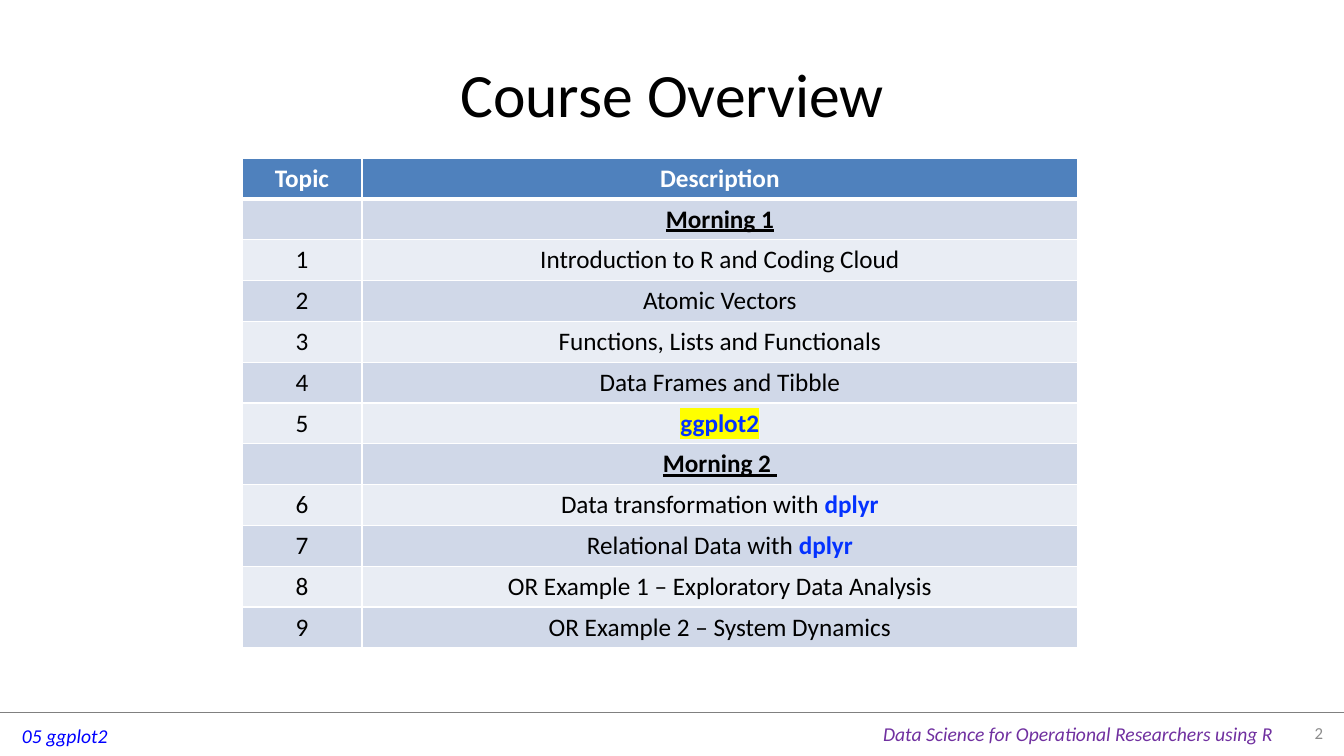
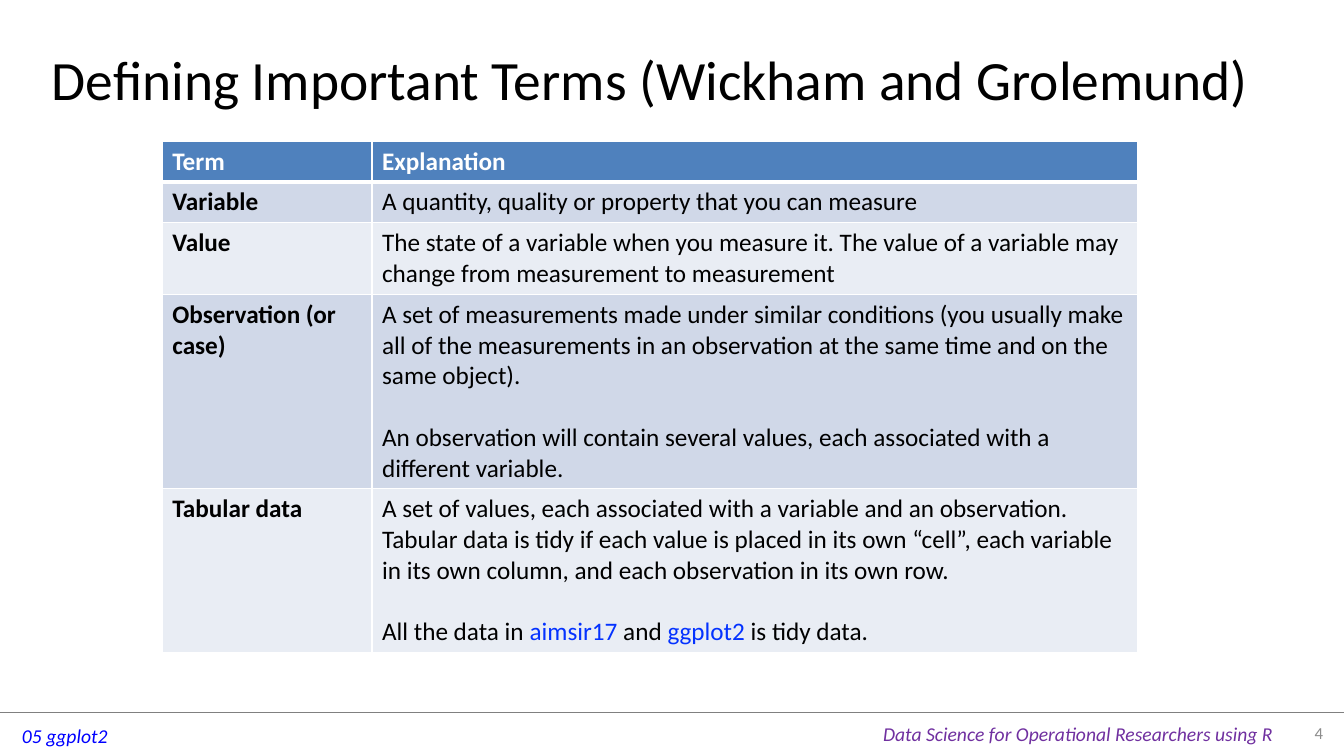
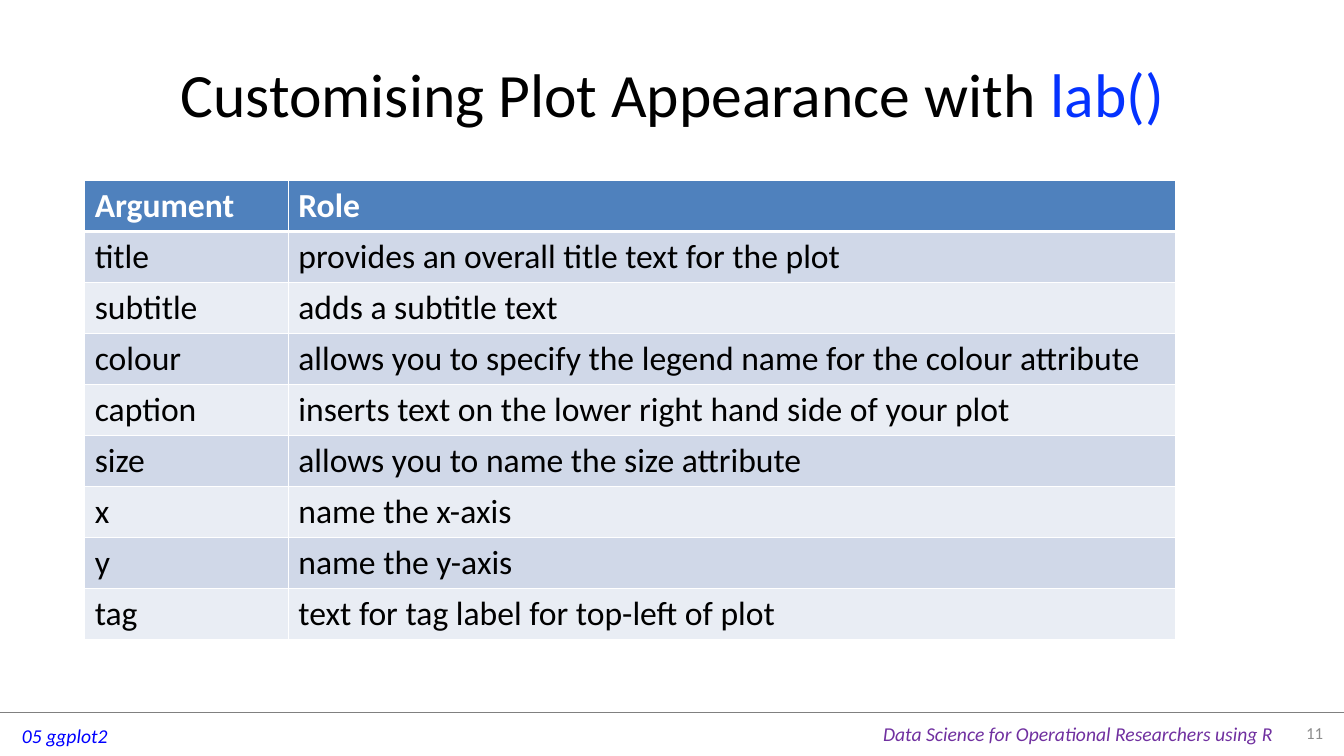
"""Builds three table slides on ggplot2 with a shared title, footer and table style."""
import dataclasses

import pptx
import pptx.dml.color
import pptx.enum.shapes
import pptx.enum.text
import pptx.oxml.ns
import pptx.util
from lxml import etree

ALIGN = pptx.enum.text.PP_ALIGN
Inches = pptx.util.Inches


@dataclasses.dataclass(frozen=True)
class Theme:
    """Colours, type sizes and measures shared by the slides."""
    font: str = "Calibri"
    ink: str = "000000"
    white: str = "FFFFFF"
    header: str = "4F81BD"
    bands: tuple = ("D0D8E8", "E9EDF4")
    code: str = "0432FF"
    marker: str = "FFFF00"
    topic: str = "0000FF"
    course: str = "7030A0"
    page: str = "8C8C8C"
    rule: str = "808080"
    title_size: float = 44
    footer_size: float = 14
    page_size: float = 12
    line_ratio: float = 1.22
    cell_padding: float = 0.1
    width: float = 13.33
    height: float = 7.5
    footer_top: float = 7.07


THEME = Theme()

RUN_STYLES = {
    "session": {"bold": True, "underline": True},
    "code": {"color": THEME.code},
    "package": {"color": THEME.code, "bold": True},
    "current": {"color": THEME.code, "bold": True, "highlight": THEME.marker},
}

TOPIC = "05 ggplot2"
COURSE = "Data Science for Operational Researchers using R"

SLIDES = [
    {
        "page": "2",
        "title": ["Course Overview"],
        "title_at": (0.67, 0.3, 12, 1.25),
        "table_at": (2.4, 1.57),
        "columns": (1.19, 7.1),
        "size": 18,
        "align": ALIGN.CENTER,
        "rows": [
            ("Topic", "Description"),
            ("", [[("Morning 1", "session")]]),
            ("1", "Introduction to R and Coding Cloud"),
            ("2", "Atomic Vectors"),
            ("3", "Functions, Lists and Functionals"),
            ("4", "Data Frames and Tibble"),
            ("5", [[("ggplot2", "current")]]),
            ("", [[("Morning 2 ", "session")]]),
            ("6", [["Data transformation with ", ("dplyr", "package")]]),
            ("7", [["Relational Data with ", ("dplyr", "package")]]),
            ("8", "OR Example 1 – Exploratory Data Analysis"),
            ("9", "OR Example 2 – System Dynamics"),
        ],
    },
    {
        "page": "4",
        "title": ["Defining Important Terms (Wickham and Grolemund)"],
        "title_at": (0.23, 0.15, 12.44, 1.25),
        "title_size": 39.6,
        "table_at": (1.61, 1.4),
        "columns": (2.08, 7.59),
        "size": 18,
        "bold_terms": True,
        "row_lines": (1, 1, 2, 6, 5),
        "rows": [
            ("Term", "Explanation"),
            ("Variable", "A quantity, quality or property that you can measure"),
            ("Value", "The state of a variable when you measure it. The value of a "
                      "variable may change from measurement to measurement"),
            ("Observation (or case)", [
                ["A set of measurements made under similar conditions (you usually "
                 "make all of the measurements in an observation at the same time "
                 "and on the same object)."],
                ["An observation will contain several values, each associated with "
                 "a different variable."],
            ]),
            ("Tabular data", [
                ["A set of values, each associated with a variable and an "
                 "observation. Tabular data is tidy if each value is placed in its "
                 "own “cell”, each variable in its own column, and each "
                 "observation in its own row."],
                ["All the data in ", ("aimsir17", "code"), " and ",
                 ("ggplot2", "code"), " is tidy data."],
            ]),
        ],
    },
    {
        "page": "11",
        "title": ["Customising Plot Appearance with ", ("lab()", "code")],
        "title_at": (0.67, 0.3, 12, 1.25),
        "table_at": (0.84, 1.79),
        "columns": (2.02, 8.8),
        "size": 24,
        "rows": [
            ("Argument", "Role"),
            ("title", "provides an overall title text for the plot"),
            ("subtitle", "adds a subtitle text"),
            ("colour", "allows you to specify the legend name for the colour attribute"),
            ("caption", "inserts text on the lower right hand side of your plot"),
            ("size", "allows you to name the size attribute"),
            ("x", "name the x-axis"),
            ("y", "name the y-axis"),
            ("tag", "text for tag label for top-left of plot"),
        ],
    },
]


def rgb(value):
    """Turn a hex string into a colour."""
    return pptx.dml.color.RGBColor.from_string(value)


def add_colour(parent, tag, value):
    """Append an element that holds one colour."""
    holder = etree.SubElement(parent, pptx.oxml.ns.qn(tag))
    etree.SubElement(holder, pptx.oxml.ns.qn("a:srgbClr"), val=value)


def write_text(frame, content, *, size, color=THEME.ink, bold=False, italic=False,
               align=ALIGN.LEFT):
    """Fill a text frame from a string or from paragraphs made of runs."""
    paragraphs = [[content]] if isinstance(content, str) else content
    for index, runs in enumerate(paragraphs):
        paragraph = frame.add_paragraph() if index else frame.paragraphs[0]
        paragraph.alignment = align
        paragraph.font.size = pptx.util.Pt(size)
        if index:
            paragraph.space_before = pptx.util.Pt(size * THEME.line_ratio)
        for part in filter(None, runs):
            text, style = (part, {}) if isinstance(part, str) else (part[0], RUN_STYLES[part[1]])
            run = paragraph.add_run()
            run.text = text
            font = run.font
            font.size = pptx.util.Pt(size)
            font.bold = style.get("bold", bold)
            font.italic = italic
            font.underline = style.get("underline", False)
            font.color.rgb = rgb(style.get("color", color))
            if "highlight" in style:
                add_colour(run._r.get_or_add_rPr(), "a:highlight", style["highlight"])
            font.name = THEME.font


def add_text(slide, at, content, *, wrap=True, **text_format):
    """Add a text box, centred vertically when it wraps and fitted when not."""
    frame = slide.shapes.add_textbox(*map(Inches, at)).text_frame
    frame.word_wrap = wrap
    if wrap:
        frame.vertical_anchor = pptx.enum.text.MSO_ANCHOR.MIDDLE
    else:
        frame.auto_size = pptx.enum.text.MSO_AUTO_SIZE.SHAPE_TO_FIT_TEXT
    write_text(frame, content, **text_format)


def add_footer(slide, page):
    """Add the rule, topic, course name and page number."""
    top = Inches(THEME.footer_top)
    rule = slide.shapes.add_connector(
        pptx.enum.shapes.MSO_CONNECTOR.STRAIGHT, 0, top, Inches(THEME.width), top)
    rule.line.color.rgb = rgb(THEME.rule)
    rule.line.width = pptx.util.Pt(0.25)
    etree.SubElement(rule._element.spPr, pptx.oxml.ns.qn("a:effectLst"))
    for at, text, color in (((0.12, 7.13, 1.06, 0.34), TOPIC, THEME.topic),
                            ((8.66, 7.11, 4.11, 0.34), COURSE, THEME.course)):
        add_text(slide, at, text, wrap=False, size=THEME.footer_size, color=color, italic=True)
    add_text(slide, (12.67, THEME.footer_top, 0.55, 0.39), page,
             size=THEME.page_size, color=THEME.page, align=ALIGN.RIGHT)


def style_cell(cell, row):
    """Set the borders and the fill that go with a row."""
    widths = {"L": 1, "R": 1, "T": 3 if row == 1 else 1, "B": 1 if row else 3}
    properties = cell._tc.get_or_add_tcPr()
    for side, width in widths.items():
        border = etree.SubElement(properties, pptx.oxml.ns.qn("a:ln" + side),
                                  w=str(pptx.util.Pt(width)))
        add_colour(border, "a:solidFill", THEME.white)
    cell.fill.solid()
    cell.fill.fore_color.rgb = rgb(THEME.bands[(row - 1) % 2] if row else THEME.header)


def add_grid(slide, content):
    """Add the table, with row heights that follow from the lines of text."""
    rows, columns, size = content["rows"], content["columns"], content["size"]
    line_height = size * THEME.line_ratio / 72
    heights = [THEME.cell_padding + lines * line_height
               for lines in content.get("row_lines", [1] * len(rows))]
    table = slide.shapes.add_table(
        len(rows), len(columns), *map(Inches, content["table_at"]),
        Inches(sum(columns)), Inches(sum(heights))).table
    table.horz_banding = False
    for column, width in zip(table.columns, columns):
        column.width = Inches(width)
    for row, (values, height) in enumerate(zip(rows, heights)):
        table.rows[row].height = Inches(height)
        for column, value in enumerate(values):
            cell = table.cell(row, column)
            style_cell(cell, row)
            is_term = column == 0 and content.get("bold_terms", False)
            write_text(cell.text_frame, value, size=size, bold=row == 0 or is_term,
                       color=THEME.ink if row else THEME.white,
                       align=content.get("align", ALIGN.LEFT))


def main():
    """Build and save the presentation."""
    deck = pptx.Presentation()
    deck.slide_width, deck.slide_height = Inches(THEME.width), Inches(THEME.height)
    for content in SLIDES:
        slide = deck.slides.add_slide(deck.slide_layouts[6])
        add_footer(slide, content["page"])
        add_text(slide, content["title_at"], [content["title"]], align=ALIGN.CENTER,
                 size=content.get("title_size", THEME.title_size))
        add_grid(slide, content)
    deck.save("out.pptx")


if __name__ == "__main__":
    main()
